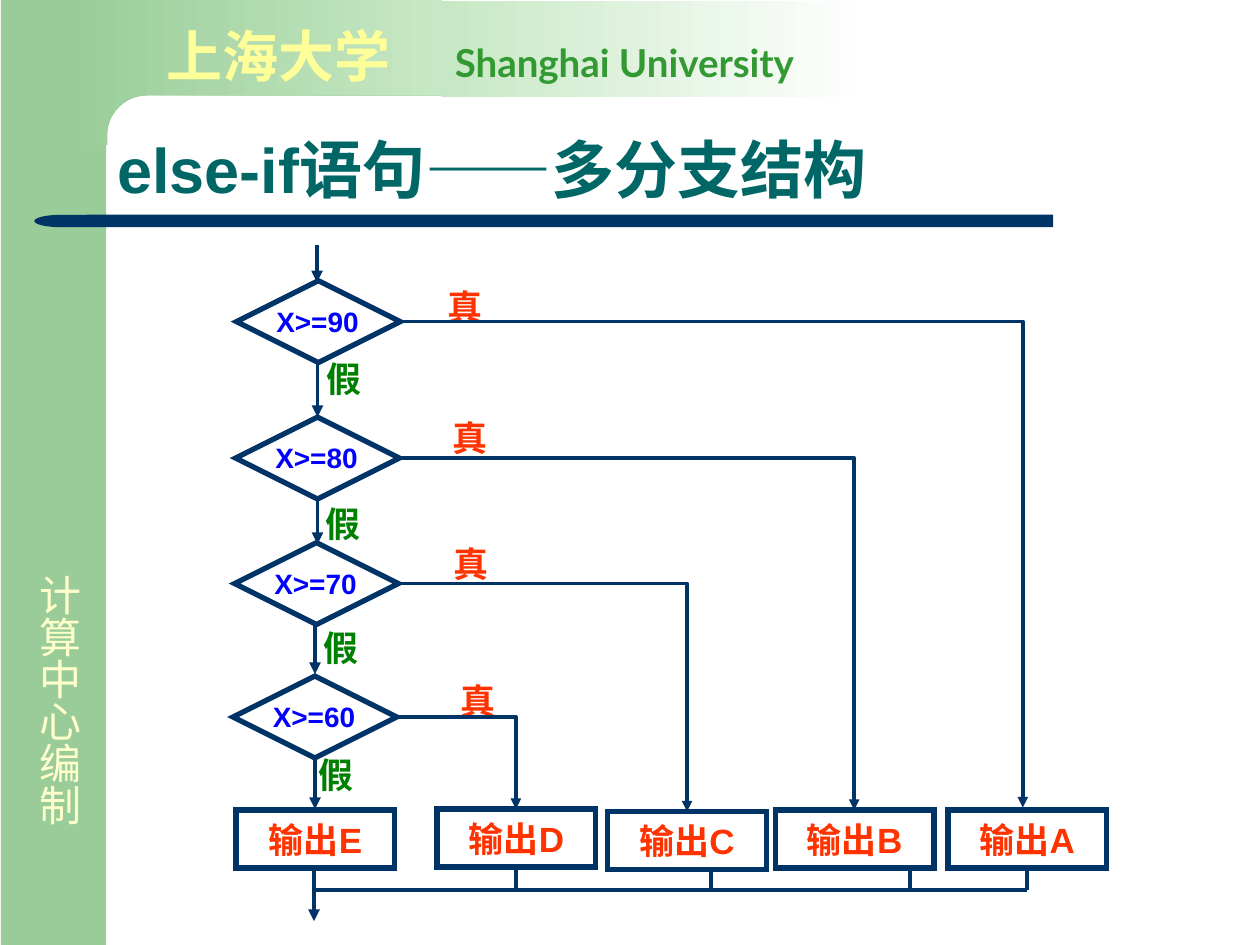
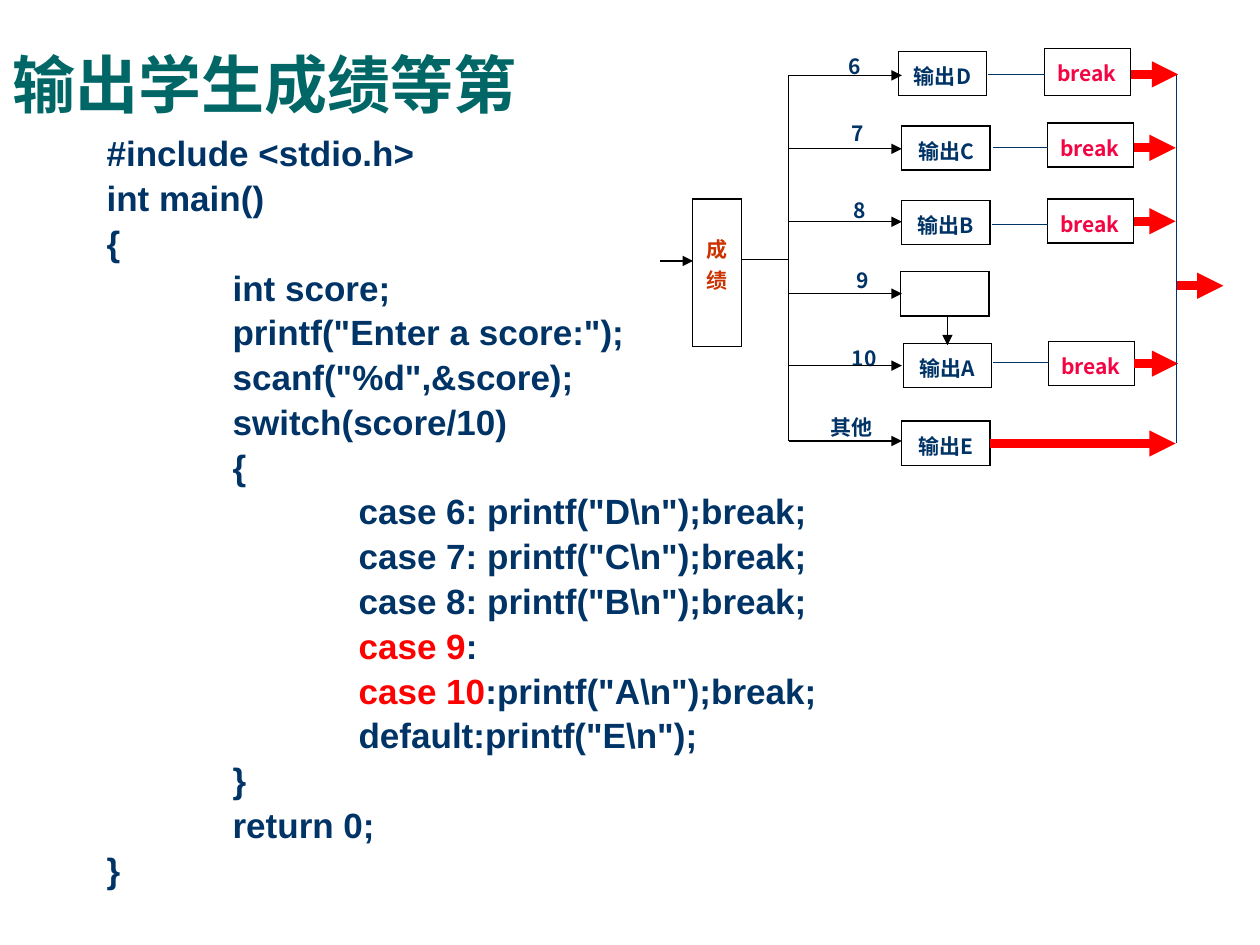
import math
import lxml.etree
import pptx
import pptx.dml.color
import pptx.enum.shapes
import pptx.enum.text
import pptx.oxml.ns
import pptx.util

Cm = pptx.util.Cm
Pt = pptx.util.Pt
RGB = pptx.dml.color.RGBColor.from_string
qn = pptx.oxml.ns.qn
KIND = pptx.enum.shapes.MSO_SHAPE
LINK = pptx.enum.shapes.MSO_CONNECTOR
ALIGN = pptx.enum.text.PP_ALIGN
ANCHOR = pptx.enum.text.MSO_ANCHOR
HAN = "Noto Sans CJK SC"

HUES = {
    "navy": "003366", "teal": "006666", "leaf": "99CC99", "mint": "C7E8C4",
    "cream": "FFFFCC", "lemon": "FFFF99", "grass": "339933", "green": "008000",
    "blue": "0000FF", "flame": "FF3300", "rust": "CC3300", "rose": "F30543",
    "red": "FF0000", "black": "000000", "white": "FFFFFF",
}


def box(page, at, text="", size=20, ink="flame", kind=None, fill=None, edge=None,
        thick=3, align=ALIGN.CENTER, anchor=ANCHOR.MIDDLE, wrap=False,
        face="Arial", bold=True, pitch=None):
    place = [Cm(v) for v in at]
    if kind is None:
        shape = page.shapes.add_textbox(*place)
    else:
        shape = page.shapes.add_shape(kind, *place)
        shape.shadow.inherit = False
        if fill:
            shape.fill.solid()
            shape.fill.fore_color.rgb = RGB(HUES[fill])
        else:
            shape.fill.background()
        if edge:
            shape.line.color.rgb = RGB(HUES[edge])
            shape.line.width = Pt(thick)
            stroke = shape._element.spPr.find(qn("a:ln"))
            lxml.etree.SubElement(stroke, qn("a:miter"), lim="800000")
        else:
            shape.line.fill.background()
    if text:
        frame = shape.text_frame
        frame.word_wrap = wrap
        frame.vertical_anchor = anchor
        frame.text = text
        for para in frame.paragraphs:
            para.alignment = align
            para.line_spacing = pitch
            for run in para.runs:
                run.font.size = Pt(size)
                run.font.bold = bold
                run.font.color.rgb = RGB(HUES[ink])
                run.font.name = face
                lxml.etree.SubElement(run.font._element, qn("a:ea"), typeface=HAN)
    return shape


def wire(page, start, end, ink="navy", thick=2.0, arrow=False, bent=False):
    kind = LINK.ELBOW if bent else LINK.STRAIGHT
    link = page.shapes.add_connector(kind, *[Cm(v) for v in start + end])
    link.line.color.rgb = RGB(HUES[ink])
    link.line.width = Pt(thick)
    props = link._element.spPr
    if arrow:
        lxml.etree.SubElement(props.find(qn("a:ln")), qn("a:tailEnd"), type="triangle")
    if bent:
        props.find(qn("a:prstGeom")).set("prst", "bentConnector2")
    lxml.etree.SubElement(props, qn("a:effectLst"))


deck = pptx.Presentation()
deck.slide_width = Cm(25.4)
deck.slide_height = Cm(19.05)

heads = [
    ("else-if语句——多分支结构", (2.11, 2.13, 19.99, 2.18)),
    ("输出学生成绩等第", (0, 0.41, 22.02, 2.18)),
]
pages = []
for text, at in heads:
    page = deck.slides.add_slide(deck.slide_layouts[5])
    title = page.shapes.title
    title.left, title.top, title.width, title.height = [Cm(v) for v in at]
    geom = lxml.etree.SubElement(title._element.spPr, qn("a:prstGeom"), prst="roundRect")
    guides = lxml.etree.SubElement(geom, qn("a:avLst"))
    lxml.etree.SubElement(guides, qn("a:gd"), name="adj", fmla="val 29800")
    frame = title.text_frame
    frame.text = text
    frame.word_wrap = True
    frame.auto_size = pptx.enum.text.MSO_AUTO_SIZE.NONE
    frame.vertical_anchor = ANCHOR.BOTTOM
    para = frame.paragraphs[0]
    para.alignment = ALIGN.LEFT
    para.line_spacing = 0.9
    font = para.runs[0].font
    font.size = Pt(36)
    font.bold = True
    font.color.rgb = RGB(HUES["teal"])
    font.name = "Arial"
    lxml.etree.SubElement(font._element, qn("a:ea"), typeface=HAN)
    pages.append(page)

flow, code = pages

box(flow, (0.02, 0, 2.12, 19.05), kind=KIND.RECTANGLE, fill="leaf")
curve = []
for step in range(13):
    turn = math.radians(step * 7.5)
    curve.append((2.97 - 0.81 * math.sin(turn), 2.73 - 0.81 * math.cos(turn)))
edges = [(8.92, 0), (8.92, 1.92)] + curve + [(2.16, 2.92), (1.3, 2.92)]
outline = flow.shapes.build_freeform(Cm(1.3), 0)
outline.add_line_segments([(Cm(x), Cm(y)) for x, y in edges])
corner = outline.convert_to_shape()
corner.shadow.inherit = False
corner.line.fill.background()
fade = box(flow, (8.89, 0.03, 8.61, 1.92), kind=KIND.RECTANGLE)
for shape, hues in ((corner, ("leaf", "mint")), (fade, ("mint", "white"))):
    shape.fill.gradient()
    shape.fill.gradient_angle = 0
    for stop, hue in zip(shape.fill.gradient_stops, hues):
        stop.color.rgb = RGB(HUES[hue])

box(flow, (1.75, 4.33, 19.48, 0.25), kind=KIND.RECTANGLE, fill="navy")
cap = box(flow, (0.69, 4.33, 1.09, 0.25), kind=KIND.FLOWCHART_DELAY, fill="navy")
cap.rotation = 180
side = box(flow, (0.3, 11.33, 1.52, 5.79), "计算中心编制", 24, "cream", bold=False,
           align=ALIGN.LEFT, anchor=ANCHOR.TOP, wrap=True)
side.text_frame._txBody.bodyPr.set("vert", "eaVert")

school = box(flow, (3.1, 0.3, 15.6, 1.6), "上海大学", 32, "lemon",
             align=ALIGN.LEFT, anchor=ANCHOR.TOP, wrap=True)
para = school.text_frame.paragraphs[0]
tabs = lxml.etree.SubElement(para._p.get_or_add_pPr(), qn("a:tabLst"))
lxml.etree.SubElement(tabs, qn("a:tab"), pos=str(Cm(5.82)), algn="l")
run = para.add_run()
run.text = "\tShanghai University"
run.font.size = Pt(22)
run.font.bold = True
run.font.color.rgb = RGB(HUES["grass"])
run.font.name = "Lato"

tests = [
    ("X>=90", (4.77, 5.66), (8.71, 5.74), (6.25, 7.13), (6.4, 7.34, 8.41), (20.62, 16.28)),
    ("X>=80", (4.75, 8.41), (8.81, 8.38), (6.23, 10.04), (6.4, 10.03, 10.97), (17.22, 16.33)),
    ("X>=70", (4.73, 10.94), (8.84, 10.92), (6.2, 12.55), (6.35, 12.55, 13.59), (13.85, 16.36)),
    ("X>=60", (4.7, 13.63), (8.98, 13.69), (6.09, 15.11), (6.35, 15.24, 16.31), (10.4, 16.31)),
]
wire(flow, (6.39, 4.93), (6.39, 5.69), thick=2.25, arrow=True)
for name, (x, y), yes, no, (down, top, base), end in tests:
    box(flow, (x, y, 3.3, 1.65), kind=KIND.DIAMOND, edge="navy")
    label = box(flow, (x + 0.64, y + 0.42, 1.98, 0.79), name, 16, "blue")
    label.text_frame.margin_left = label.text_frame.margin_right = 0
    box(flow, yes + (1.32, 0.86), "真")
    box(flow, no + (1.37, 1.02), "假", ink="green")
    wire(flow, (down, top), (down, base), thick=2.25, arrow=True)
    wire(flow, (x + 3.3, y + 0.82), end, arrow=True, bent=True)

grades = [("E", 4.76, 16.33), ("D", 8.81, 16.31), ("C", 12.25, 16.36),
          ("B", 15.63, 16.33), ("A", 19.11, 16.33)]
for grade, x, y in grades:
    box(flow, (x, y, 3.2, 1.17), "输出" + grade, kind=KIND.RECTANGLE, edge="navy")
for x in (10.4, 14.33, 18.34, 20.7):
    wire(flow, (x, 17.5), (x, 17.94))
wire(flow, (6.33, 17.94), (20.7, 17.94))
wire(flow, (6.33, 17.5), (6.33, 18.57), thick=2.25, arrow=True)

source = r'''#include <stdio.h>
int main()
{
	int score;
	printf("Enter a score:");
	scanf("%d",&score);
	switch(score/10)
	{
		case 6: printf("D\n");break;
		case 7: printf("C\n");break;
		case 8: printf("B\n");break;
		case 9:
		case 10:printf("A\n");break;
		default:printf("E\n");
	}
	return 0;
}'''
body = code.shapes.add_textbox(Cm(2.1), Cm(2.72), Cm(22.2), Cm(16.33))
frame = body.text_frame
frame.word_wrap = True
frame.margin_left = frame.margin_right = Cm(0.05)
frame.margin_top = frame.margin_bottom = Cm(0.03)
for row, line in enumerate(source.split("\n")):
    para = frame.add_paragraph() if row else frame.paragraphs[0]
    tabs = lxml.etree.SubElement(para._p.get_or_add_pPr(), qn("a:tabLst"))
    for stop in (2.54, 5.08):
        lxml.etree.SubElement(tabs, qn("a:tab"), pos=str(Cm(stop)), algn="l")
    para.line_spacing = 0.9
    if row:
        para.space_before = Pt(4)
    parts = [(line, "navy")]
    if line.strip().startswith(("case 9", "case 10")):
        mark, colon, rest = line.partition(":")
        parts = [(mark, "red"), (colon + rest, "navy")]
    for text, hue in parts:
        run = para.add_run()
        run.text = text
        run.font.size = Pt(20)
        run.font.bold = True
        run.font.color.rgb = RGB(HUES[hue])
        run.font.name = "Arial"

note = dict(size=12, ink="navy", face=HAN, pitch=1.24, anchor=ANCHOR.TOP, wrap=True)
plate = dict(kind=KIND.RECTANGLE, fill="white", edge="black", thick=0.75)
thin = dict(ink="black", thick=0.75)
bold = dict(ink="red", thick=5, arrow=True)

score = box(code, (13.96, 4.01, 0.99, 2.97), "成绩",
            **{**note, **plate, "ink": "rust", "face": "Times New Roman"})
score.text_frame.margin_top = Cm(0.63)
wire(code, (13.31, 5.26), (13.97, 5.26), arrow=True, **thin)
wire(code, (14.94, 5.23), (15.9, 5.23), **thin)
wire(code, (15.9, 1.52), (15.9, 8.89), **thin)

cases = [
    ("6", (16.86, 0.84, 1.04, 0.64), 1.52, "输出D", (18.11, 1.04)),
    ("7", (16.92, 2.18, 1.04, 0.64), 3, "输出C", (18.18, 2.54)),
    ("8", (16.96, 3.73, 1.04, 0.64), 4.47, "输出B", (18.18, 4.04)),
    ("9", (17.02, 5.15, 1.04, 0.64), 5.92, "", (18.16, 5.48)),
    ("10", (16.92, 6.73, 1.04, 0.64), 7.37, "输出A", (18.21, 6.92)),
    ("其他", (16.49, 8.12, 1.42, 0.69), 8.89, "输出E", (18.18, 8.49)),
]
for name, at, y, text, spot in cases:
    box(code, at, name, align=ALIGN.JUSTIFY, **note)
    box(code, spot + (1.78, 0.89), text, **note, **plate)
    wire(code, (15.9, y), (18.18, y), arrow=True, **thin)
wire(code, (19.1, 6.38), (19.1, 6.96), arrow=True, **thin)

breaks = [
    (21.06, 0.98, 0.94, 19.91, 1.5, 1.5, 23.75),
    (21.12, 2.48, 0.89, 20.02, 2.98, 2.98, 23.7),
    (21.12, 4.01, 0.89, 19.99, 4.52, 4.46, 23.7),
    (21.14, 6.88, 0.89, 20.02, 7.31, 7.33, 23.75),
]
for x, y, high, start, link, out, end in breaks:
    box(code, (x, y, 1.73, high), "break",
        **{**note, **plate, "ink": "rose", "align": ALIGN.JUSTIFY})
    wire(code, (start, link), (x, link), thick=0.75)
    wire(code, (x + 1.73, out), (end, out), **bold)
wire(code, (19.95, 8.94), (23.7, 8.94), **bold)
wire(code, (23.7, 5.76), (24.66, 5.76), **bold)
wire(code, (23.71, 1.52), (23.71, 8.94), thick=0.75)

deck.save("out.pptx")
